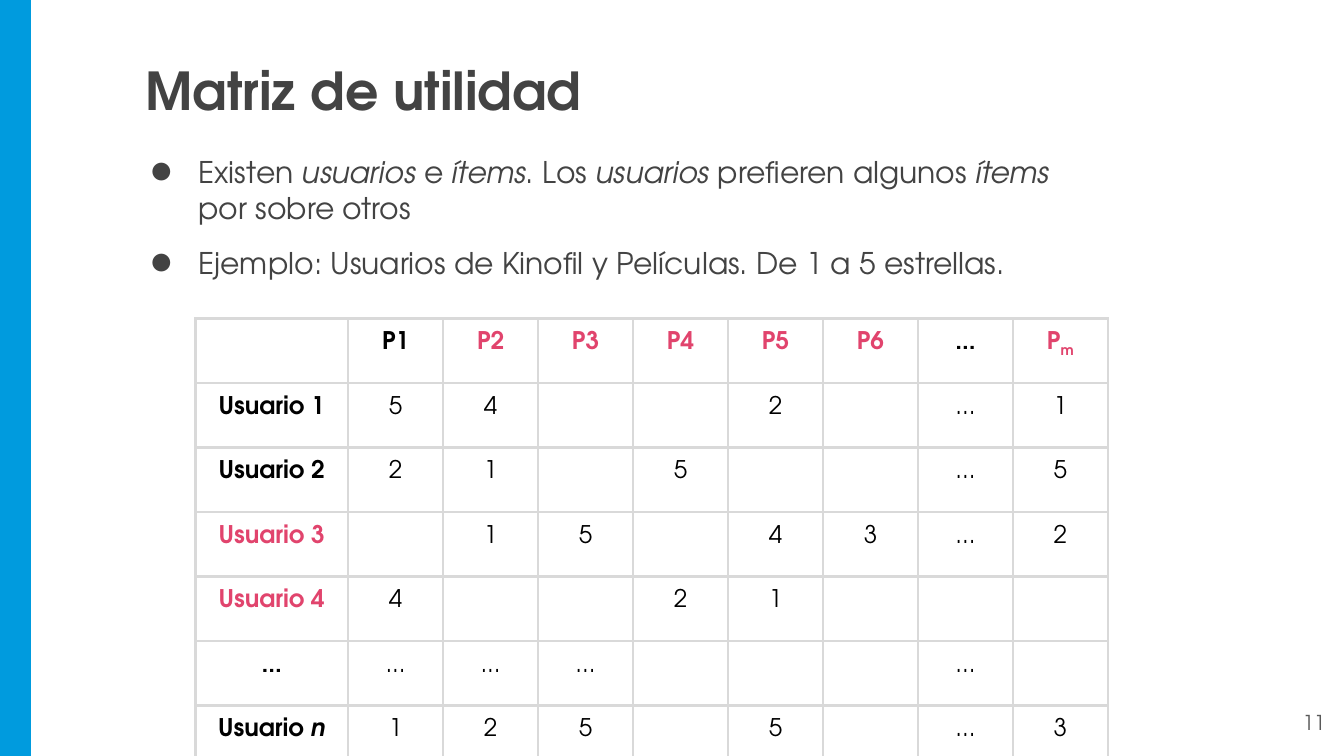
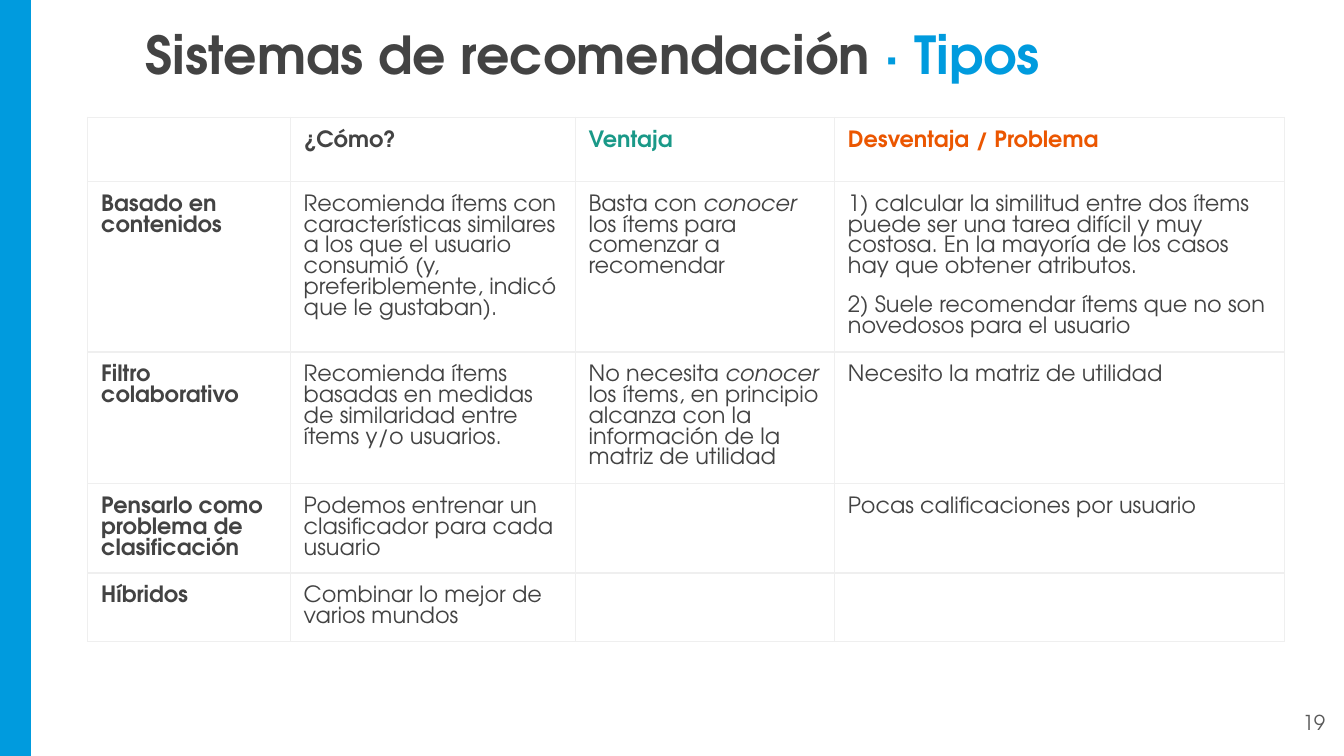
from lxml.etree import SubElement
from pptx import Presentation
from pptx.dml.color import RGBColor
from pptx.enum.shapes import MSO_SHAPE
from pptx.enum.text import PP_ALIGN
from pptx.oxml import parse_xml
from pptx.oxml.ns import nsdecls, qn
from pptx.util import Inches, Pt

FONT = "TeX Gyre Adventor"
BLUE = RGBColor(0x00, 0x9B, 0xDE)
DARK = RGBColor(0x43, 0x43, 0x43)
GRAY = RGBColor(0x59, 0x59, 0x59)
BLACK = RGBColor(0x00, 0x00, 0x00)
PINK = RGBColor(0xE1, 0x44, 0x6D)
GREEN = RGBColor(0x1A, 0x99, 0x88)
ORANGE = RGBColor(0xEB, 0x56, 0x00)
SILVER = RGBColor(0xD9, 0xD9, 0xD9)
PALE = RGBColor(0xEF, 0xEF, 0xEF)

UNIT = Inches(0.1)
COLUMNS, ROWS = 100, 56.25
MARGIN = UNIT

RATINGS = [
    "|P1|P2|P3|P4|P5|P6|...|P_m",
    "Usuario 1|5|4|||2||...|1",
    "Usuario 2|2|1||5|||...|5",
    "Usuario 3||1|5||4|3|...|2",
    "Usuario 4|4|||2|1|||",
    "...|...|...|...||||...|",
    "Usuario *n*|1|2|5||5||...|3",
]
PINK_LABELS = {"P2", "P3", "P4", "P5", "P6", "P_m", "Usuario 3", "Usuario 4"}

TYPES = [
    ["", "¿Cómo?", "Ventaja", "Desventaja / Problema"],
    ["Basado en contenidos",
     "Recomienda ítems con características similares a los que el usuario "
     "consumió (y, preferiblemente, indicó que le gustaban).",
     "Basta con *conocer* los ítems para comenzar a recomendar",
     "1) calcular la similitud entre dos ítems puede ser una tarea difícil y muy "
     "costosa. En la mayoría de los casos hay que obtener atributos.\n"
     "2) Suele recomendar ítems que no son novedosos para el usuario"],
    ["Filtro colaborativo",
     "Recomienda ítems basadas en medidas de similaridad entre ítems y/o usuarios.",
     "No necesita *conocer* los ítems, en principio alcanza con la información "
     "de la matriz de utilidad",
     "Necesito la matriz de utilidad"],
    ["Pensarlo como problema de clasificación",
     "Podemos entrenar un clasificador para cada usuario",
     "",
     "Pocas calificaciones por usuario"],
    ["Híbridos", "Combinar lo mejor de varios mundos", "", ""],
]
HEADING_COLORS = {"Ventaja": GREEN, "Desventaja / Problema": ORANGE}


def write(para, text, size, color=DARK, bold=False):
    """Add text to a paragraph, with *italic* parts and a _subscript ending."""
    body, _, subscript = text.partition("_")
    parts = [(part, index % 2 == 1, False) for index, part in enumerate(body.split("*"))]
    parts.append((subscript, False, True))
    for part, italic, lowered in parts:
        if not part:
            continue
        span = para.add_run()
        span.text = part
        font = span.font
        font.name, font.size, font.color.rgb = FONT, Pt(size), color
        font.bold, font.italic = bold, italic
        if lowered:
            font._element.set("baseline", "-25000")


def add_bullet(para):
    """Give a paragraph a round bullet and a hanging indent."""
    properties = para._p.get_or_add_pPr()
    properties.set("marL", str(Inches(0.5)))
    properties.set("indent", str(Inches(-0.36)))
    color = SubElement(properties, qn("a:buClr"))
    SubElement(color, qn("a:srgbClr"), val=str(DARK))
    SubElement(properties, qn("a:buFont"), typeface=FONT)
    SubElement(properties, qn("a:buChar"), char="●")


def set_borders(cell, color, width):
    """Draw the four borders of a table cell."""
    properties = cell._tc.get_or_add_tcPr()
    for index, side in enumerate(("lnL", "lnR", "lnT", "lnB")):
        line = parse_xml(
            f'<a:{side} {nsdecls("a")} w="{Pt(width)}"><a:solidFill>'
            f'<a:srgbClr val="{color}"/></a:solidFill></a:{side}>')
        properties.insert(index, line)


class SlideBuilder:
    """Hold the shared style and the current slide."""

    def __init__(self):
        """Start an empty deck."""
        self.deck = Presentation()
        self.deck.slide_width = COLUMNS * UNIT
        self.deck.slide_height = int(ROWS * UNIT)
        self.page = None

    def area(self, *grid):
        """Turn grid columns and rows into slide lengths."""
        return [round(value * UNIT) for value in grid]

    def start(self, number):
        """Add a slide with its side band and page number."""
        self.page = self.deck.slides.add_slide(self.deck.slide_layouts[6])
        band = self.page.shapes.add_shape(
            MSO_SHAPE.RECTANGLE, *self.area(0, 0, 2.3, ROWS))
        band.shadow.inherit = False
        band.fill.solid()
        band.fill.fore_color.rgb = BLUE
        band.line.fill.background()
        para = self.box(93.6, 51.9, 6, 4.3).paragraphs[0]
        para.alignment = PP_ALIGN.RIGHT
        write(para, str(number), 11, GRAY)

    def box(self, *grid):
        """Add a text box and return its frame."""
        frame = self.page.shapes.add_textbox(*self.area(*grid)).text_frame
        frame.word_wrap = True
        frame.margin_left = frame.margin_right = MARGIN
        frame.margin_top = frame.margin_bottom = MARGIN
        return frame

    def title(self, top, text, accent=""):
        """Add the slide title with an optional blue ending."""
        para = self.box(9.85, top, 80.2, 6.4).paragraphs[0]
        write(para, text, 28, bold=True)
        write(para, accent, 28, BLUE, bold=True)

    def bullets(self, grid, lines):
        """Add a bulleted list."""
        frame = self.box(*grid)
        for index, line in enumerate(lines):
            para = frame.add_paragraph() if index else frame.paragraphs[0]
            add_bullet(para)
            if index:
                para.space_before = Pt(10)
            write(para, line, 16)

    def table(self, left, top, widths, heights, rows, style, border,
              alignment=PP_ALIGN.LEFT, spacing=None):
        """Add a bordered table; style gives the text format of each cell."""
        grid = self.area(left, top, sum(widths), sum(heights))
        table = self.page.shapes.add_table(len(rows), len(widths), *grid).table
        table.first_row = table.horz_banding = False
        for column, width in zip(table.columns, self.area(*widths)):
            column.width = width
        for row, height in zip(table.rows, self.area(*heights)):
            row.height = height
        for row_index, row in enumerate(rows):
            for column_index, text in enumerate(row):
                cell = table.cell(row_index, column_index)
                cell.margin_left = cell.margin_right = MARGIN
                cell.margin_top = cell.margin_bottom = MARGIN
                cell.fill.background()
                set_borders(cell, *border)
                heading = row_index == 0 or column_index == 0
                for index, line in enumerate(text.split("\n")):
                    frame = cell.text_frame
                    para = frame.add_paragraph() if index else frame.paragraphs[0]
                    para.alignment = alignment
                    if spacing:
                        para.line_spacing = Pt(spacing)
                    if index:
                        para.space_before = Pt(10)
                    write(para, line, bold=heading, **style(text))
                    if not line:
                        SubElement(para._p, qn("a:endParaRPr"), sz="1200")


def rating_style(text):
    """Choose the format of a ratings cell."""
    return {"size": 13, "color": PINK if text in PINK_LABELS else BLACK}


def type_style(text):
    """Choose the format of a comparison cell."""
    return {"size": 12, "color": HEADING_COLORS.get(text, DARK)}


def main():
    """Build both slides and save the deck."""
    builder = SlideBuilder()

    builder.start(11)
    builder.title(3.3, "Matriz de utilidad")
    builder.bullets((8.8, 10.45, 70.9, 8.2), [
        "Existen *usuarios* e *ítems*. Los *usuarios* prefieren algunos *ítems* "
        "por sobre otros",
        "Ejemplo: Usuarios de Kinofil y Películas. De 1 a 5 estrellas.",
    ])
    ratings = [row.split("|") for row in RATINGS]
    builder.table(14.53, 23.7, [11.37] + [7.07] * 8, [4.8] * len(ratings), ratings,
                  rating_style, (SILVER, 1.5), PP_ALIGN.CENTER)

    builder.start(19)
    builder.table(6.53, 8.72, [15.07, 21.2, 19.3, 33.5], [4.78, 12.7, 9.8, 6.6, 5.1],
                  TYPES, type_style, (PALE, 0.75), spacing=11.1)
    builder.title(0.65, "Sistemas de recomendación ", "· Tipos")

    builder.deck.save("out.pptx")


if __name__ == "__main__":
    main()
